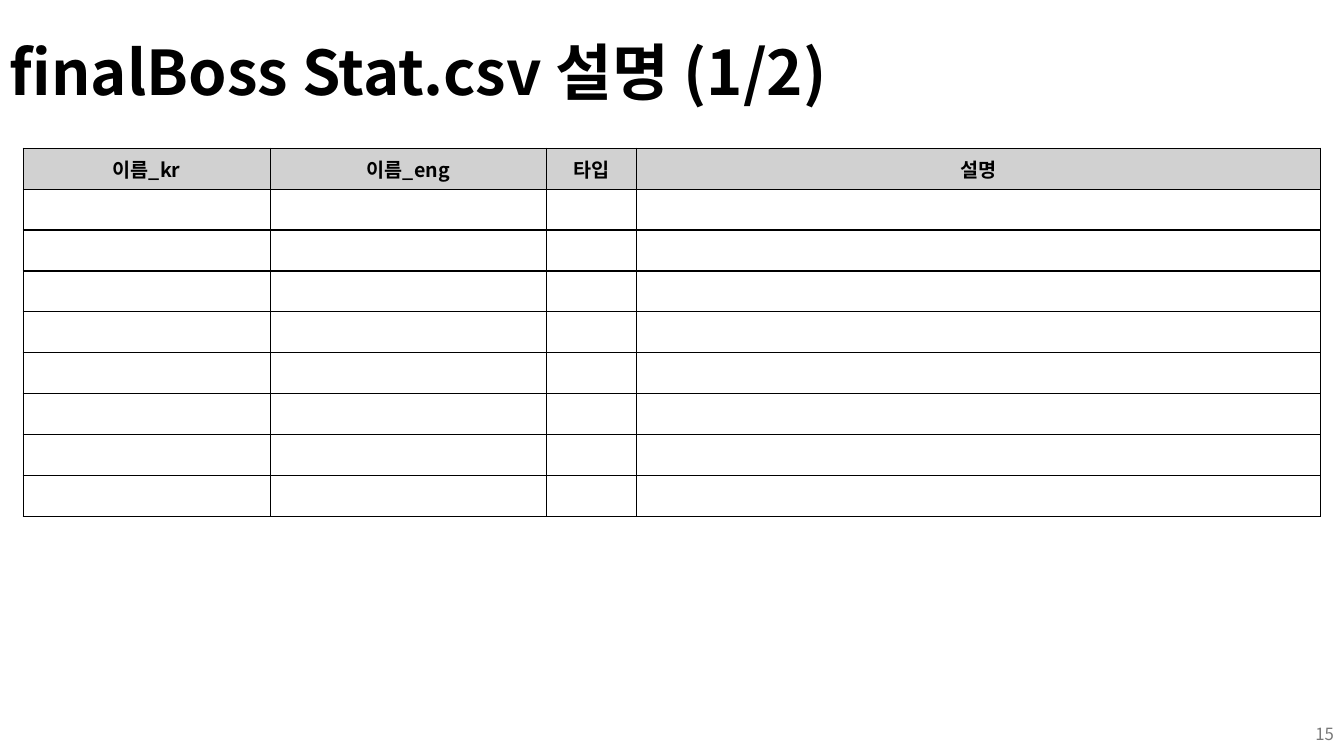
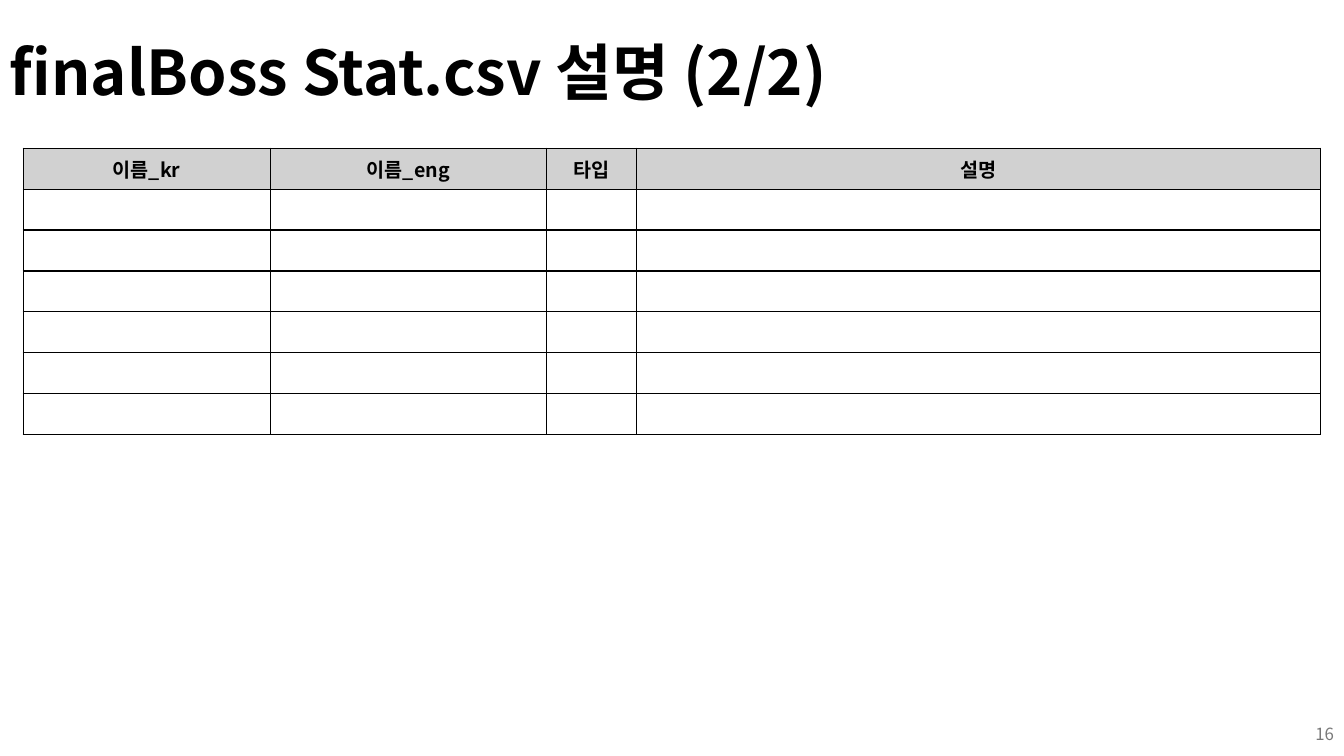
import lxml.etree
import pptx
import pptx.dml.color
import pptx.enum.text
import pptx.oxml.ns
import pptx.util

Inches = pptx.util.Inches
Pt = pptx.util.Pt
qn = pptx.oxml.ns.qn
ALIGN = pptx.enum.text.PP_ALIGN
MIDDLE = pptx.enum.text.MSO_ANCHOR.MIDDLE

FONT = "Noto Sans CJK KR"
BLACK, WHITE, HEADER_GREY, NUMBER_GREY = "000000", "FFFFFF", "D1D1D1", "797979"
TITLE_STYLE = {"size": Pt(44), "bold": True, "name": FONT}
HEADER_STYLE = {"size": Pt(14), "bold": True, "name": FONT}
NUMBER_STYLE = {"size": Pt(12), "bold": False, "name": FONT}

TITLE_BOX = (0, 0.02, 11.5, 1.45)
NUMBER_BOX = (10.33, 7.08, 3, 0.4)
TABLE_ORIGIN = (0.23, 1.47)
COLUMN_WIDTHS = (2.45, 2.74, 0.89, 6.79)
ROW_HEIGHT = 0.406
HEADERS = ("이름_kr", "이름_eng", "타입", "설명")
FIRST_NUMBER = 15
EMPTY_ROWS = (8, 6)


def colour(value):
    """Return the colour for a hex string."""
    return pptx.dml.color.RGBColor.from_string(value)


def write_text(para, text, style, ink, align):
    """Write one formatted span into a paragraph."""
    para.alignment = align
    span = para.add_run()
    span.text = text
    for name, value in style.items():
        setattr(span.font, name, value)
    span.font.color.rgb = colour(ink)
    lxml.etree.SubElement(span.font._element, qn("a:ea"), typeface=FONT)


def add_label(page, box, text, style, ink, align):
    """Add a vertically centred text box and return its paragraph."""
    frame = page.shapes.add_textbox(*map(Inches, box)).text_frame
    frame.word_wrap = True
    frame.vertical_anchor = MIDDLE
    para = frame.paragraphs[0]
    write_text(para, text, style, ink, align)
    return para


def style_cell(cell, fill):
    """Give a cell its black borders, fill and anchor."""
    properties = cell._tc.get_or_add_tcPr()
    for side in ("a:lnL", "a:lnR", "a:lnT", "a:lnB"):
        line = lxml.etree.SubElement(properties, qn(side), w=str(Pt(1)))
        solid = lxml.etree.SubElement(line, qn("a:solidFill"))
        lxml.etree.SubElement(solid, qn("a:srgbClr"), val=BLACK)
    cell.fill.solid()
    cell.fill.fore_color.rgb = colour(fill)
    cell.vertical_anchor = MIDDLE


def add_field_table(page, origin, empty_rows):
    """Add the field table: a header row above empty rows."""
    count = empty_rows + 1
    size = (sum(COLUMN_WIDTHS), count * ROW_HEIGHT)
    box = map(Inches, origin + size)
    table = page.shapes.add_table(count, len(HEADERS), *box).table
    table.horz_banding = False
    for column, width in zip(table.columns, COLUMN_WIDTHS):
        column.width = Inches(width)
    for index, row in enumerate(table.rows):
        row.height = Inches(ROW_HEIGHT)
        for cell, header in zip(row.cells, HEADERS):
            style_cell(cell, WHITE if index else HEADER_GREY)
            para = cell.text_frame.paragraphs[0]
            if index == 0:
                write_text(para, header, HEADER_STYLE, BLACK, ALIGN.CENTER)
            else:
                lxml.etree.SubElement(para._p, qn("a:endParaRPr"), sz="1400")


def add_field_page(deck, part, empty_rows):
    """Add one page with its title, field table and page number."""
    page = deck.slides.add_slide(deck.slide_layouts[6])
    title = f"finalBoss Stat.csv 설명 ({part}/{len(EMPTY_ROWS)})"
    para = add_label(page, TITLE_BOX, title, TITLE_STYLE, BLACK, ALIGN.LEFT)
    para.line_spacing = 0.9
    add_field_table(page, TABLE_ORIGIN, empty_rows)
    number = str(FIRST_NUMBER + part - 1)
    add_label(page, NUMBER_BOX, number, NUMBER_STYLE, NUMBER_GREY, ALIGN.RIGHT)


def main():
    """Build and save the deck."""
    deck = pptx.Presentation()
    deck.slide_width = Inches(13.33)
    deck.slide_height = Inches(7.5)
    for part, empty_rows in enumerate(EMPTY_ROWS, 1):
        add_field_page(deck, part, empty_rows)
    deck.save("out.pptx")


if __name__ == "__main__":
    main()
